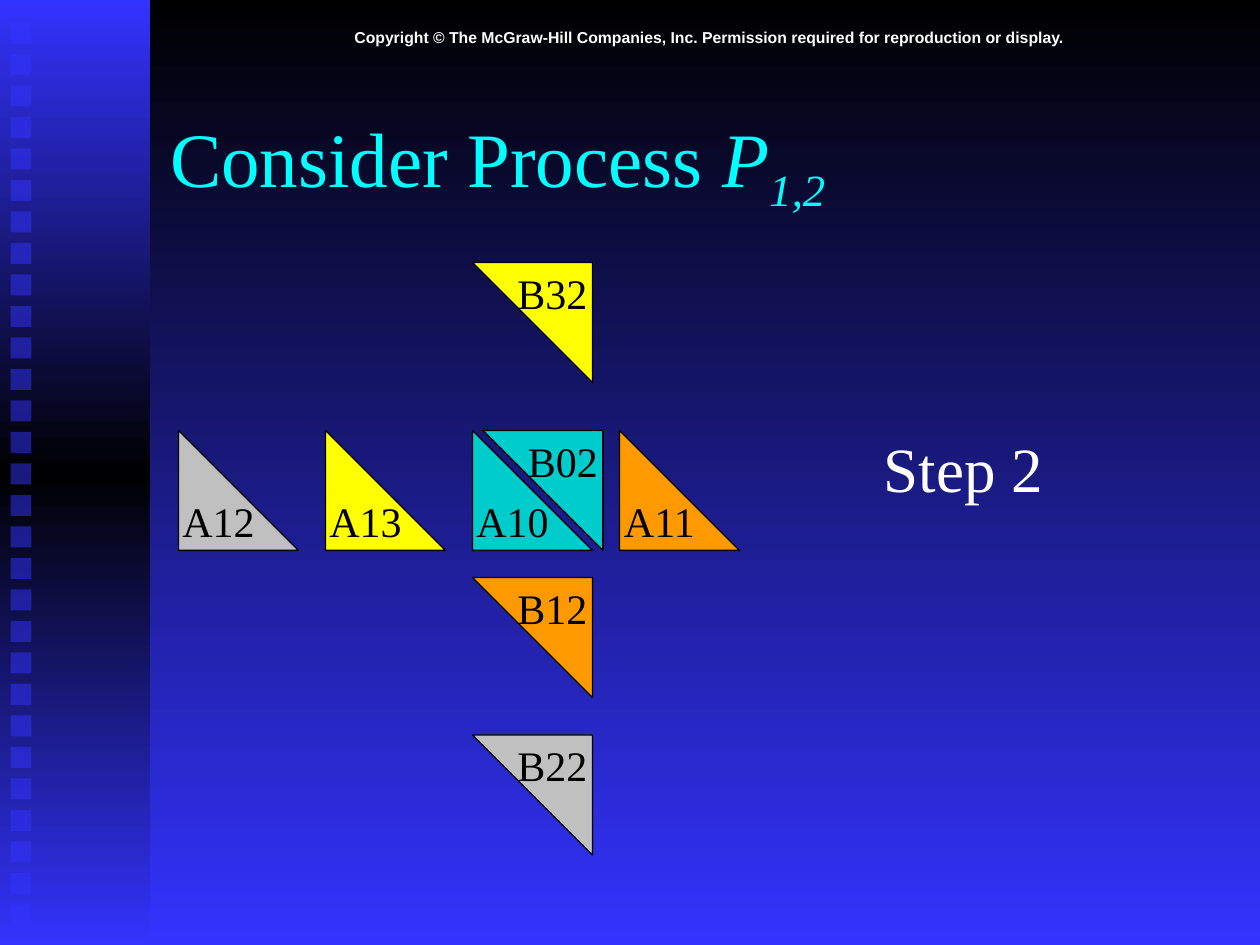
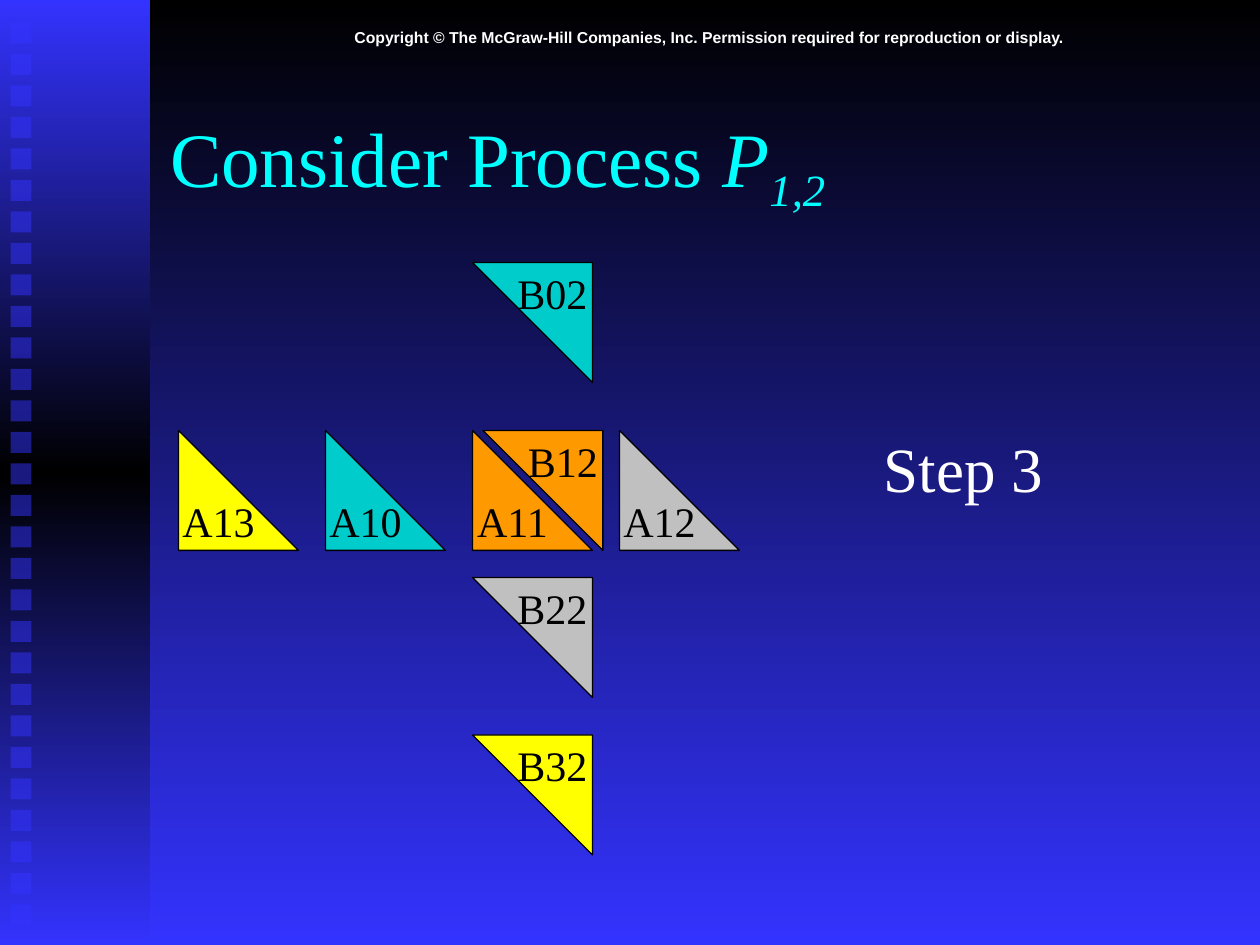
from copy import deepcopy

from pptx import Presentation
from pptx.dml.color import RGBColor
from pptx.enum.shapes import MSO_SHAPE, PP_PLACEHOLDER
from pptx.enum.text import MSO_ANCHOR, MSO_AUTO_SIZE, PP_ALIGN
from pptx.oxml.ns import qn
from pptx.oxml.xmlchemy import OxmlElement
from pptx.util import Pt

RECTANGLE, TRIANGLE = MSO_SHAPE.RECTANGLE, MSO_SHAPE.RIGHT_TRIANGLE
TITLE = PP_PLACEHOLDER.TITLE
TOP, MIDDLE = MSO_ANCHOR.TOP, MSO_ANCHOR.MIDDLE
LEFT, CENTER = PP_ALIGN.LEFT, PP_ALIGN.CENTER
FIXED = MSO_AUTO_SIZE.NONE

STEPS = [2, 3]
COPYRIGHT = "Copyright © The McGraw-Hill Companies, Inc. Permission required for reproduction or display."
HEADING = [("Consider Process ", {}), ("P", {"italic": True}), ("1,2", {"italic": True})]
BLOCK_COLORS = ["00CCCC", "FF9900", "C0C0C0", "FFFF00"]
BLACK, BLUE = "000000", "3333FF"

SERIF = "Times New Roman"
HEADING_FONT = {"name": SERIF, "size": Pt(44), "color": "00FFFF"}
BLOCK_FONT = {"name": SERIF, "size": Pt(24), "color": BLACK}
STEP_FONT = {"name": SERIF, "size": Pt(36), "color": "FFFFFF"}
COPYRIGHT_FONT = {"name": "Arial", "size": Pt(9), "bold": True, "color": "FFFFFF"}

SLIDE_WIDTH, SLIDE_HEIGHT = 720, 540
BAND_WIDTH = 85.7
SQUARE_COUNT, SQUARE_LEFT, SQUARE_TOP, SQUARE_SIZE, SQUARE_PITCH = 29, 6, 12.8, 12, 18
BLOCK_SIZE = 68.5
A_LEFT, A_PITCH, A_TOP = 102, 84, 246
B_PLACES = [(270, 150), (276, A_TOP), (270, 330), (270, 420)]


def rgb(value):
    return RGBColor.from_string(value)


def apply(target, values):
    for key, value in values.items():
        if key == "color":
            target.color.rgb = rgb(value)
        else:
            setattr(target, key, value)


def paint_gradient(fill, colors):
    fill.gradient_angle = 270
    for position, (stop, color) in enumerate(zip(fill.gradient_stops, colors)):
        stop.color.rgb = rgb(color)
        stop.position = position / (len(colors) - 1)


def place(shape, left, top, width, height):
    apply(shape, {"left": Pt(left), "top": Pt(top), "width": Pt(width), "height": Pt(height)})


def write(shape, runs, font, align, anchor, margins=(7.2, 3.6), wrap=False):
    side, edge = map(Pt, margins)
    frame = shape.text_frame
    apply(frame, {"word_wrap": wrap, "auto_size": FIXED, "vertical_anchor": anchor,
                  "margin_left": side, "margin_right": side,
                  "margin_top": edge, "margin_bottom": edge})
    paragraph = frame.paragraphs[0]
    paragraph.alignment = align
    for text, extra in runs:
        run = paragraph.add_run()
        run.text = text
        apply(run.font, {**font, **extra})


def add_plain(slide, kind, box):
    shape = slide.shapes.add_shape(kind, *map(Pt, box))
    shape.shadow.inherit = False
    return shape


def add_label(slide, box, text, font, align, anchor, **options):
    label = slide.shapes.add_textbox(*map(Pt, box))
    write(label, [(text, {})], font, align, anchor, **options)
    return label


def add_band(slide):
    band = add_plain(slide, RECTANGLE, (0, 0, BAND_WIDTH, SLIDE_HEIGHT))
    band.line.fill.background()
    band.fill.gradient()
    stops = band.element.find(".//" + qn("a:gsLst"))
    stops.append(deepcopy(stops[-1]))
    paint_gradient(band.fill, [BLUE, BLACK, BLUE])
    return band


def add_square(slide, index):
    top = SQUARE_TOP + index * SQUARE_PITCH
    square = add_plain(slide, RECTANGLE, (SQUARE_LEFT, top, SQUARE_SIZE, SQUARE_SIZE))
    square.line.fill.background()
    square.fill.solid()
    square.fill.fore_color.rgb = rgb(BLUE)
    alpha = OxmlElement("a:alpha")
    alpha.set("val", "50000")
    square.element.find(".//" + qn("a:srgbClr")).append(alpha)
    return square


def decorate_layout(layout, slide):
    for placeholder in list(layout.placeholders):
        if placeholder.placeholder_format.type != TITLE:
            placeholder.element.getparent().remove(placeholder.element)
    layout.background.fill.gradient()
    paint_gradient(layout.background.fill, [BLACK, BLUE])
    notice = add_label(slide, (90, 12, 630, 18), COPYRIGHT, COPYRIGHT_FONT, CENTER, MIDDLE,
                       margins=(0, 0), wrap=True)
    squares = [add_square(slide, index) for index in range(SQUARE_COUNT)]
    for order, part in enumerate([add_band(slide), *squares, notice]):
        layout.shapes.element.insert(2 + order, part.element)


def add_heading(slide):
    heading = slide.shapes.title
    place(heading, 90, 48, 612, 90)
    write(heading, HEADING, HEADING_FONT, LEFT, MIDDLE, wrap=True)
    subscript = list(heading.element.iter(qn("a:rPr")))[-1]
    subscript.set("baseline", "-25000")


def add_block(slide, name, color, left, top, turned=False):
    block = add_plain(slide, TRIANGLE, (left, top, BLOCK_SIZE, BLOCK_SIZE))
    block.fill.solid()
    block.fill.fore_color.rgb = rgb(color)
    apply(block.line, {"color": BLACK, "width": Pt(0.75)})
    write(block, [(name, {})], BLOCK_FONT, CENTER, MIDDLE)
    if turned:
        block.rotation = 180
        block.element.find(".//" + qn("a:bodyPr")).set("rot", "10800000")


def add_blocks(slide, step):
    count = len(BLOCK_COLORS)
    for column in range(count):
        k = (step + column) % count
        add_block(slide, f"A1{k}", BLOCK_COLORS[k], A_LEFT + column * A_PITCH, A_TOP)
    for row, (left, top) in enumerate(B_PLACES):
        k = (step + 1 + row) % count
        add_block(slide, f"B{k}2", BLOCK_COLORS[k], left, top, turned=True)


def main():
    deck = Presentation()
    apply(deck, {"slide_width": Pt(SLIDE_WIDTH), "slide_height": Pt(SLIDE_HEIGHT)})
    layout = deck.slide_layouts.get_by_name("Title Only")
    slides = [deck.slides.add_slide(layout) for _ in STEPS]
    decorate_layout(layout, slides[0])
    for slide, step in zip(slides, STEPS):
        add_heading(slide)
        add_blocks(slide, step)
        add_label(slide, (498, 242, 105, 50.4), f"Step {step}", STEP_FONT, LEFT, TOP)
    deck.save("out.pptx")


if __name__ == "__main__":
    main()
